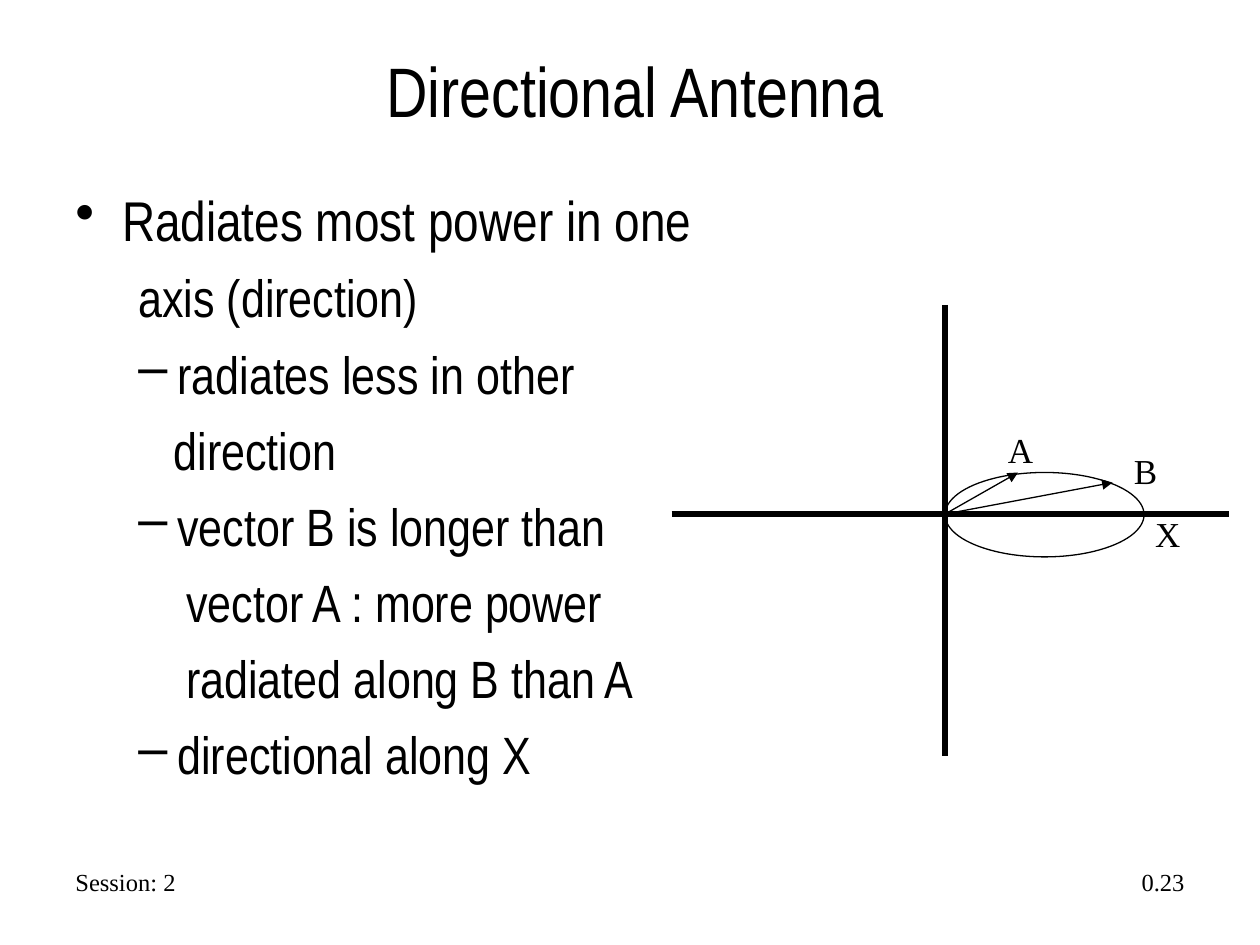
"""Build the Directional Antenna slide."""
import dataclasses

import lxml.etree
import pptx
import pptx.dml.color
import pptx.enum.shapes
import pptx.enum.text
import pptx.oxml.ns
import pptx.util

Inches = pptx.util.Inches
Pt = pptx.util.Pt
Align = pptx.enum.text.PP_ALIGN
Anchor = pptx.enum.text.MSO_ANCHOR


@dataclasses.dataclass(frozen=True)
class Theme:
    ink: str = "000000"
    paper: str = "FFFFFF"
    sans: str = "Arial Narrow"
    serif: str = "Times New Roman"
    title: float = 40
    lead: float = 32
    detail: float = 30
    label: float = 20
    footer: float = 14
    thin: float = 0.75
    thick: float = 3


def add_element(parent, tag, **attributes):
    return lxml.etree.SubElement(parent, pptx.oxml.ns.qn(tag), attributes)


def write(para, text, *, size, font, color, align=Align.LEFT, before=0,
          level=0, left=0, hanging=0, bullet=None):
    para.alignment = align
    para.level = level
    para.space_before = Pt(before)
    properties = para._p.get_or_add_pPr()
    properties.set("marL", str(Inches(left)))
    properties.set("indent", str(-Inches(hanging)))
    if bullet:
        add_element(add_element(properties, "a:buClr"), "a:srgbClr", val=color)
        add_element(properties, "a:buChar", char=bullet)
    else:
        add_element(properties, "a:buNone")
    span = para.add_run()
    span.text = text
    span.font.size = Pt(size)
    span.font.name = font
    span.font.color.rgb = pptx.dml.color.RGBColor.from_string(color)


class SlideBuilder:
    def __init__(self, page, theme):
        self.page = page
        self.theme = theme
        self.ink = pptx.dml.color.RGBColor.from_string(theme.ink)
        fill = page.background.fill
        fill.solid()
        fill.fore_color.rgb = pptx.dml.color.RGBColor.from_string(theme.paper)

    def text(self, place, paragraphs, *, wrap=True, anchor=Anchor.TOP, **style):
        box = self.page.shapes.add_textbox(*map(Inches, place))
        frame = box.text_frame
        frame.word_wrap = wrap
        frame.vertical_anchor = anchor
        for index, (words, extra) in enumerate(paragraphs):
            para = frame.add_paragraph() if index else frame.paragraphs[0]
            write(para, words, **{"color": self.theme.ink, **style, **extra})

    def line(self, start, end, width, arrow=False):
        connector = self.page.shapes.add_connector(
            pptx.enum.shapes.MSO_CONNECTOR.STRAIGHT,
            *map(Inches, (*start, *end)))
        connector.line.color.rgb = self.ink
        connector.line.width = Pt(width)
        if arrow:
            add_element(connector.line._get_or_add_ln(), "a:tailEnd", type="triangle")
        add_element(connector._element.spPr, "a:effectLst")

    def ellipse(self, place):
        shape = self.page.shapes.add_shape(
            pptx.enum.shapes.MSO_SHAPE.OVAL, *map(Inches, place))
        shape.shadow.inherit = False
        shape.fill.background()
        shape.line.color.rgb = self.ink
        shape.line.width = Pt(self.theme.thin)


def main():
    deck = pptx.Presentation()
    deck.slide_width, deck.slide_height = Inches(10), Inches(7.5)
    theme = Theme()
    slide = SlideBuilder(deck.slides.add_slide(deck.slide_layouts[6]), theme)

    footer = {"size": theme.footer, "font": theme.serif}
    slide.text((0.5, 6.83, 2.58, 0.34), [("Session: 2", {})], **footer)
    slide.text((7.17, 6.83, 2.33, 0.34), [("0.23", {})], align=Align.RIGHT, **footer)
    slide.text((0.5, 0.25, 9.08, 0.92), [("Directional Antenna", {})],
               size=theme.title, font=theme.sans, align=Align.CENTER,
               anchor=Anchor.MIDDLE)

    lead = {"size": theme.lead, "level": 0, "before": 0,
            "left": 0.37, "hanging": 0.37, "bullet": "•"}
    dash = {"left": 0.81, "hanging": 0.31, "bullet": "–"}
    slide.text((0.5, 1.42, 9.08, 5.28), [
        ("Radiates most power in one", lead),
        ("axis (direction)", {"left": 0.5}),
        ("radiates less in other", dash),
        ("direction", {"left": 0.78}),
        ("vector B is longer than", dash),
        ("vector A : more power", {"left": 0.88}),
        ("radiated along B than A", {"left": 0.88}),
        ("directional along X", dash),
    ], size=theme.detail, font=theme.sans, level=1, before=7.5)

    origin = (7.5, 4.08)
    slide.ellipse((7.5, 3.75, 1.58, 0.67))
    slide.line((7.5, 2.42), (7.5, 6), theme.thick)
    slide.line((5.33, 4.08), (9.75, 4.08), theme.thick)
    for tip in ((8.08, 3.75), (8.83, 3.83)):
        slide.line(origin, tip, theme.thin, arrow=True)
    for name, left, top in (("A", 7.9, 3.35), ("B", 8.9, 3.52), ("X", 9.07, 4.02)):
        slide.text((left, top, 0.4, 0.44), [(name, {})], wrap=False,
                   size=theme.label, font=theme.serif)

    deck.save("out.pptx")


if __name__ == "__main__":
    main()
